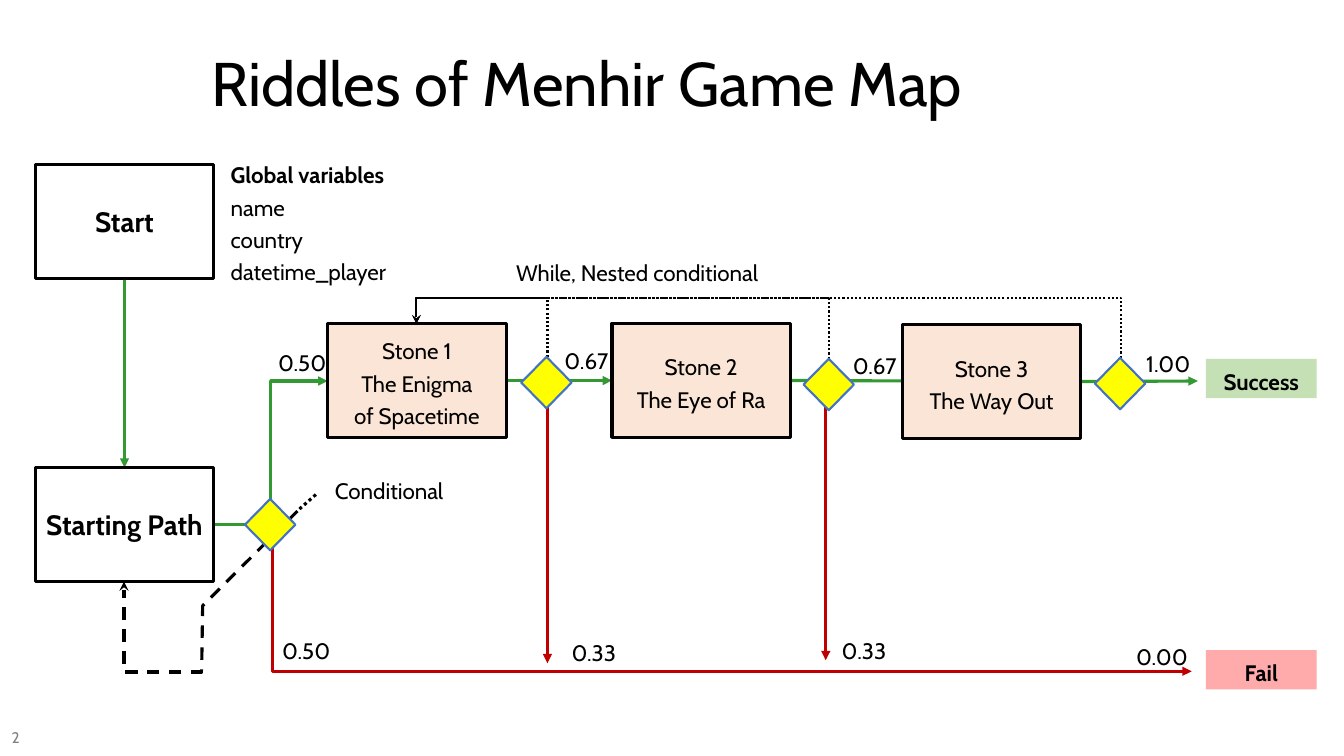
from dataclasses import dataclass

from lxml.etree import SubElement
from pptx import Presentation
from pptx.dml.color import RGBColor
from pptx.enum.dml import MSO_LINE as Dash
from pptx.enum.shapes import MSO_CONNECTOR as Link, MSO_SHAPE as Preset
from pptx.enum.text import MSO_ANCHOR as Anchor, PP_ALIGN as Align
from pptx.oxml.ns import qn
from pptx.shapes.autoshape import Shape
from pptx.shapes.connector import Connector
from pptx.util import Emu, Pt

PX = 9144  # EMU per px, 100 px to the inch
FONT = "Cabin"
BLACK, WHITE, GREY = "000000", "FFFFFF", "808080"
GREEN, RED = "339933", "C00000"
PEACH, YELLOW, BLUE = "FBE5D6", "FFFF00", "4472C4"
BOX_WIDTH, BOX_HEIGHT = 177, 113
DIAMOND_WIDTH, DIAMOND_HEIGHT = 50, 51

Point = tuple[int, int]


@dataclass(frozen=True)
class Stroke:
    color: str
    width: float = 2.25
    dash: Dash | None = None
    arrow: str | None = None


@dataclass(frozen=True)
class Elbow:
    start: Point
    end: Point
    bend: float
    stroke: Stroke
    upright: bool = False


@dataclass(frozen=True)
class Box:
    text: str
    left: int
    top: int
    width: int = BOX_WIDTH
    height: int = BOX_HEIGHT
    fill: str | None = WHITE
    size: int = 16
    bold: bool = False
    outlined: bool = True
    spacing: float = 1.2


@dataclass(frozen=True)
class Label:
    text: str
    left: int
    top: int
    width: int = 75
    height: int = 39
    size: int = 16
    color: str = BLACK
    align: Align = Align.LEFT
    anchor: Anchor = Anchor.MIDDLE
    spacing: float = 1.2


GREEN_LINE = Stroke(GREEN, arrow="triangle")
RED_LINE = Stroke(RED, arrow="triangle")
RETRY_LINE = Stroke(BLACK, 1.5, Dash.ROUND_DOT, "stealth")
DASHED_LINE = Stroke(BLACK, dash=Dash.DASH)
DASHED_ARROW = Stroke(BLACK, dash=Dash.DASH, arrow="stealth")

STONE_1_TOP, PATH_RIGHT = (413, 321), (212, 520)
ELBOWS = [
    Elbow((1112, 355), STONE_1_TOP, 1.75, RETRY_LINE, upright=True),
    Elbow((822, 356), STONE_1_TOP, 1.72, RETRY_LINE, upright=True),
    Elbow((543, 354), STONE_1_TOP, 1.76, RETRY_LINE, upright=True),
    Elbow((200, 665), (123, 577), -0.02, DASHED_ARROW, upright=True),
    Elbow(PATH_RIGHT, (1182, 666), 0.06, RED_LINE),
    Elbow(PATH_RIGHT, (325, 378), 0.5, GREEN_LINE),
]
FAIL_DROPS = [((543, 397), (543, 658)), ((819, 394), (819, 655))]
RETURN_PATH = [(295, 507), (201, 601), (200, 665)]

START = Box("Start", 35, 163, size=20, bold=True, spacing=1)
STARTING_PATH = Box("Starting Path", 35, 464, fill=None, size=20, bold=True, spacing=1)
STONES = [
    Box("Stone 1\nThe Enigma\nof Spacetime", 325, 321, fill=PEACH),
    Box("Stone 2\nThe Eye of Ra", 607, 321, fill=PEACH),
    Box("Stone 3\nThe Way Out", 895, 322, fill=PEACH),
]
OUTCOMES = [
    Box("Success", 1196, 356, 110, 39, "C5E0B4", bold=True, outlined=False),
    Box("Fail", 1196, 645, 110, 39, "FFABAB", bold=True, outlined=False),
]
DIAMONDS = [(243, 495), (517, 354), (797, 356), (1086, 355)]
VARIABLES = Label("Global variables\nname\ncountry\ndatetime_player", 219, 151, 212, 136)
LABELS = [
    Label("Riddles of Menhir Game Map", 200, 16, 1085, 140, size=44, spacing=0.9),
    Label("2", 0, 716, 31, 34, 11, GREY, Align.CENTER, spacing=0.9),
    Label("0.50", 270, 623),
    Label("0.50", 266, 337),
    Label("0.67", 550, 336),
    Label("0.67", 836, 340),
    Label("0.33", 557, 625),
    Label("0.33", 825, 623),
    Label("1.00", 1127, 338),
    Label("0.00", 1117, 629),
    Label("Conditional", 319, 468, 134, 37, align=Align.CENTER, anchor=Anchor.TOP, spacing=1),
    Label("While, Nested conditional", 502, 252, 430, 37, anchor=Anchor.TOP, spacing=1),
]


def rgb(color: str) -> RGBColor:
    return RGBColor.from_string(color)


def px(*lengths: float) -> list[Emu]:
    return [Emu(round(length * PX)) for length in lengths]


def apply_stroke(shape: Shape | Connector, stroke: Stroke) -> None:
    line = shape.line
    line.color.rgb = rgb(stroke.color)
    line.width = Pt(stroke.width)
    if stroke.dash:
        line.dash_style = stroke.dash
    if stroke.arrow:
        SubElement(line._get_or_add_ln(), qn("a:tailEnd"), type=stroke.arrow)


def add_link(slide, kind: Link, start: Point, end: Point, stroke: Stroke) -> Connector:
    connector = slide.shapes.add_connector(kind, *px(*start, *end))
    apply_stroke(connector, stroke)
    SubElement(connector._element.spPr, qn("a:effectLst"))
    return connector


def add_elbow(slide, elbow: Elbow) -> None:
    """Draw a three-part connector; an upright one leaves and arrives vertically."""
    (x1, y1), (x2, y2) = start, end = elbow.start, elbow.end
    if elbow.upright:
        # The frame is laid out sideways about its centre, then turned by 270 degrees.
        center_x, center_y = (x1 + x2) / 2, (y1 + y2) / 2
        half_width, half_height = abs(y1 - y2) / 2, abs(x1 - x2) / 2
        start = (center_x - half_width, center_y + half_height)
        end = (center_x + half_width, center_y - half_height)
    connector = add_link(slide, Link.ELBOW, start, end, elbow.stroke)
    properties = connector._element.spPr
    if elbow.upright:
        properties.find(qn("a:xfrm")).set("rot", str(270 * 60000))
    adjustments = properties.find(qn("a:prstGeom")).find(qn("a:avLst"))
    SubElement(adjustments, qn("a:gd"), name="adj1", fmla=f"val {round(elbow.bend * 100000)}")


def add_polyline(slide, points: list[Point], stroke: Stroke) -> None:
    builder = slide.shapes.build_freeform(*points[0], scale=PX)
    builder.add_line_segments(points[1:], close=False)
    shape = builder.convert_to_shape()
    shape.shadow.inherit = False
    shape.fill.background()
    apply_stroke(shape, stroke)


def set_text(shape: Shape, item: Box | Label, color: str, align: Align,
             anchor: Anchor, bold: bool = False) -> None:
    frame = shape.text_frame
    frame.text = item.text
    frame.word_wrap = align != Align.CENTER
    frame.vertical_anchor = anchor
    for paragraph in frame.paragraphs:
        paragraph.alignment = align
        paragraph.line_spacing = item.spacing
        for run in paragraph.runs:
            run.font.name, run.font.size = FONT, Pt(item.size)
            run.font.bold = bold
            run.font.color.rgb = rgb(color)


def add_preset(slide, kind: Preset, frame: tuple[int, int, int, int],
               fill: str | None, stroke: Stroke | None) -> Shape:
    shape = slide.shapes.add_shape(kind, *px(*frame))
    shape.shadow.inherit = False
    if fill:
        shape.fill.solid()
        shape.fill.fore_color.rgb = rgb(fill)
    else:
        shape.fill.background()
    if stroke:
        apply_stroke(shape, stroke)
    else:
        shape.line.fill.background()
    return shape


def add_box(slide, box: Box) -> Shape:
    frame = (box.left, box.top, box.width, box.height)
    stroke = Stroke(BLACK) if box.outlined else None
    shape = add_preset(slide, Preset.RECTANGLE, frame, box.fill, stroke)
    set_text(shape, box, BLACK, Align.CENTER, Anchor.MIDDLE, box.bold)
    return shape


def add_label(slide, label: Label) -> Shape:
    shape = slide.shapes.add_textbox(*px(label.left, label.top, label.width, label.height))
    set_text(shape, label, label.color, label.align, label.anchor)
    return shape


def main() -> None:
    presentation = Presentation()
    presentation.slide_width, presentation.slide_height = px(1333, 750)
    slide = presentation.slides.add_slide(presentation.slide_layouts[6])

    for elbow in ELBOWS:
        add_elbow(slide, elbow)
    add_polyline(slide, RETURN_PATH, DASHED_LINE)
    add_link(slide, Link.STRAIGHT, (297, 505), (314, 490), Stroke(BLACK, dash=Dash.ROUND_DOT))
    for start, end in FAIL_DROPS:
        add_link(slide, Link.STRAIGHT, start, end, RED_LINE)
    descent = add_link(slide, Link.STRAIGHT, (123, 276), (123, 464), GREEN_LINE)
    exits = [add_link(slide, Link.STRAIGHT, (left, 378), (right, 378), GREEN_LINE)
             for left, right in [(502, 607), (784, 914), (1072, 1188)]]

    descent.begin_connect(add_box(slide, START), 2)
    descent.end_connect(add_box(slide, STARTING_PATH), 0)
    stones = [add_box(slide, stone) for stone in STONES]
    for connector, stone in zip(exits, stones):
        connector.begin_connect(stone, 3)
    exits[0].end_connect(stones[1], 1)

    for outcome in OUTCOMES:
        add_box(slide, outcome)
    variables = add_label(slide, VARIABLES)
    variables.text_frame.paragraphs[0].runs[0].font.bold = True
    for label in LABELS:
        add_label(slide, label)
    for left, top in DIAMONDS:
        frame = (left, top, DIAMOND_WIDTH, DIAMOND_HEIGHT)
        add_preset(slide, Preset.DIAMOND, frame, YELLOW, Stroke(BLUE, 1.5))

    presentation.save("out.pptx")


if __name__ == "__main__":
    main()
